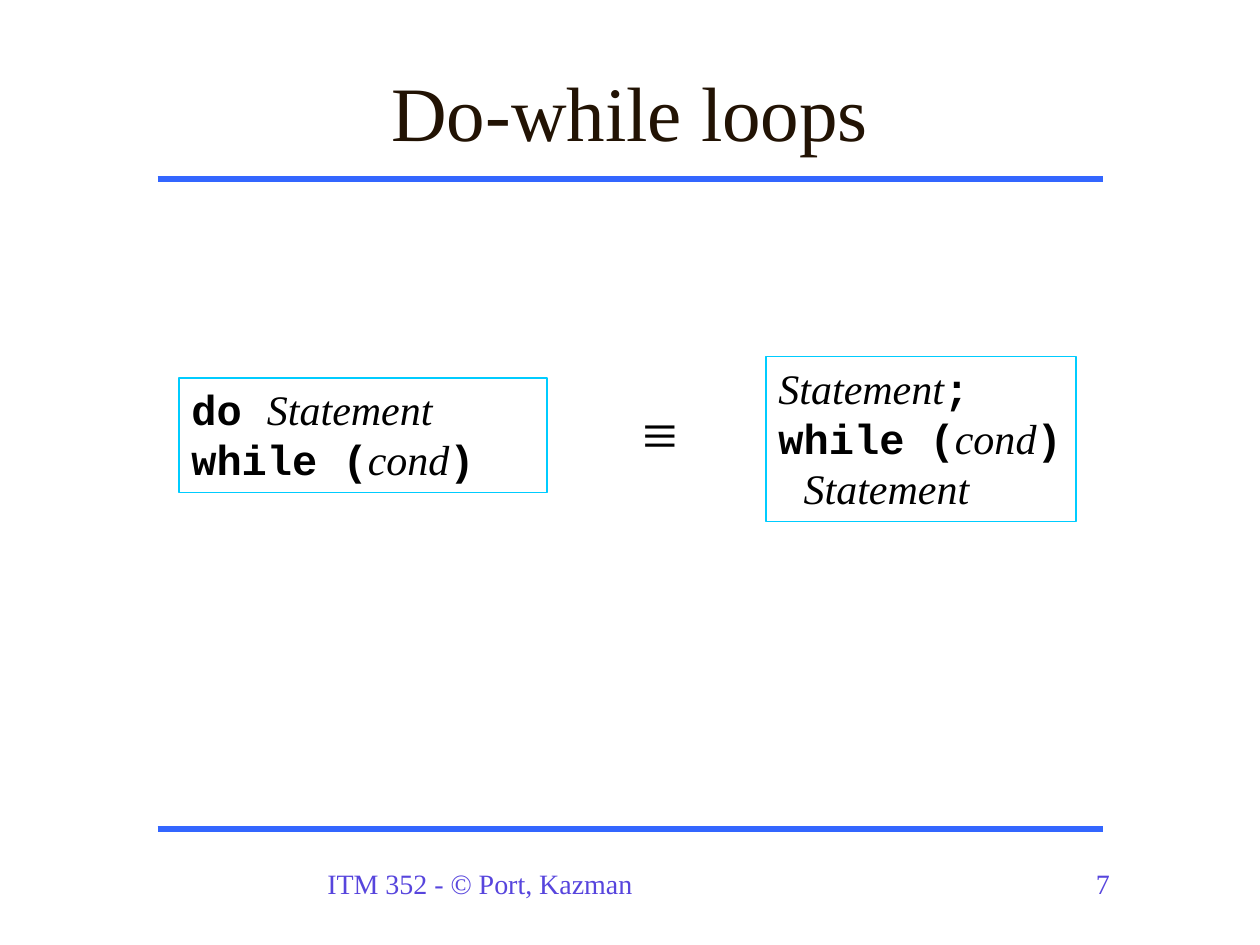
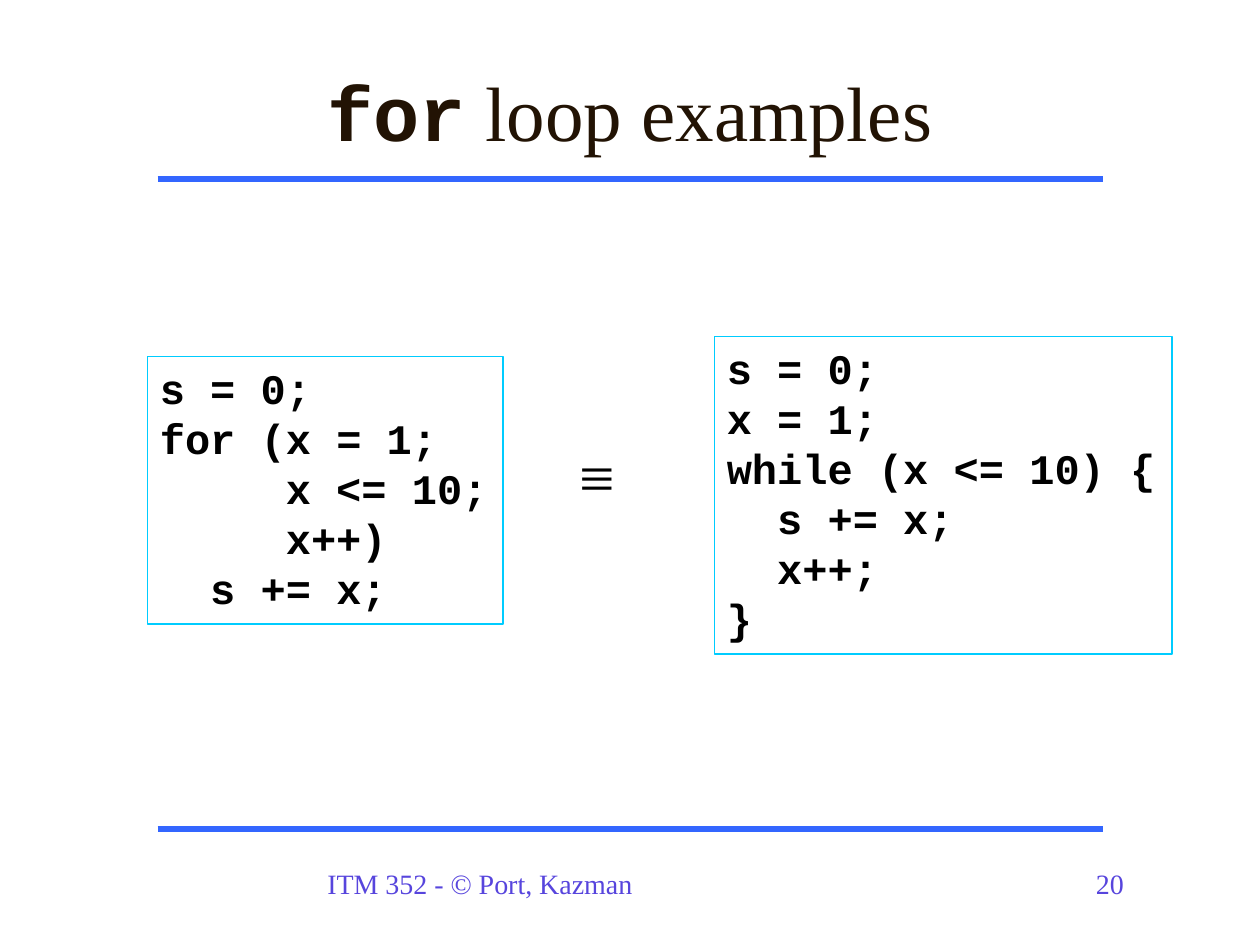
from dataclasses import dataclass
from pptx import Presentation
from pptx.dml.color import RGBColor
from pptx.enum.shapes import MSO_CONNECTOR, MSO_SHAPE
from pptx.enum.text import MSO_ANCHOR, PP_ALIGN
from pptx.oxml.ns import qn
from pptx.util import Inches, Pt
from lxml.etree import SubElement

SERIF, MONO = "Times New Roman", "Courier New"
INK, TITLE, FOOTER, RULE, FRAME = "000000", "221304", "5745DD", "3366FF", "00CCFF"
CODE_SIZE = 24
CHAR = 0.2  # width in inches of one code character
RULE_TOPS = (1.42, 6.58)


@dataclass(frozen=True)
class Span:
    text: str
    font: str = SERIF
    bold: bool = False
    italic: bool = False


@dataclass(frozen=True)
class Line:
    spans: tuple[Span, ...]
    indent: int = 0  # in code characters


@dataclass(frozen=True)
class CodeBox:
    at: tuple[float, float, float, float]
    lines: tuple[Line, ...]


@dataclass(frozen=True)
class Page:
    title: Line
    number: str
    boxes: tuple[CodeBox, CodeBox]
    equiv_at: tuple[float, float]


def plain(text: str) -> Line:
    return Line((Span(text),))


def kw(text: str) -> Span:
    return Span(text, MONO, bold=True)


def var(text: str) -> Span:
    return Span(text, italic=True)


def code(text: str, indent: int = 0) -> Line:
    return Line((kw(text),), indent)


def rgb(value: str) -> RGBColor:
    return RGBColor.from_string(value)


def write(sp, lines, *, size, color=INK, align=PP_ALIGN.LEFT,
          anchor=MSO_ANCHOR.TOP, wrap=True, spacing=None, right=0.1) -> None:
    tf = sp.text_frame
    tf.word_wrap = wrap
    tf.vertical_anchor = anchor
    tf.margin_right = Inches(right)
    for i, line in enumerate(lines):
        p = tf.paragraphs[0] if i == 0 else tf.add_paragraph()
        p.alignment = align
        if spacing:
            p.line_spacing = Pt(spacing)
        if line.indent:
            p._p.get_or_add_pPr().set("marL", str(Inches(CHAR * line.indent)))
        for span in line.spans:
            r = p.add_run()
            r.text = span.text
            r.font.name, r.font.size = span.font, Pt(size)
            r.font.bold, r.font.italic = span.bold, span.italic
            r.font.color.rgb = rgb(color)


def add_text(s, at, line: Line, **fmt) -> None:
    write(s.shapes.add_textbox(*map(Inches, at)), [line], **fmt)


def add_rule(s, top: float) -> None:
    cx = s.shapes.add_connector(MSO_CONNECTOR.STRAIGHT, Inches(1.25), Inches(top),
                                Inches(8.75), Inches(top))
    cx.line.color.rgb = rgb(RULE)
    cx.line.width = Pt(3)
    SubElement(cx._element.spPr, qn("a:effectLst"))


def add_code_box(s, box: CodeBox) -> None:
    sp = s.shapes.add_shape(MSO_SHAPE.RECTANGLE, *map(Inches, box.at))
    sp.shadow.inherit = False
    sp.fill.background()
    sp.line.color.rgb = rgb(FRAME)
    sp.line.width = Pt(1)
    write(sp, box.lines, size=CODE_SIZE, spacing=28.6, right=0.02)


def add_page(prs, page: Page) -> None:
    s = prs.slides.add_slide(prs.slide_layouts[6])
    for top in RULE_TOPS:
        add_rule(s, top)
    add_text(s, (2.5, 6.83, 4.17, 0.37), plain("ITM 352 - © Port, Kazman"),
             size=16, color=FOOTER)
    add_text(s, (8.6, 6.83, 0.74, 0.37), plain(page.number), size=16, color=FOOTER)
    add_text(s, (0.75, 0.25, 8.5, 1.25), page.title, size=44, color=TITLE,
             align=PP_ALIGN.CENTER, anchor=MSO_ANCHOR.MIDDLE)
    for box in page.boxes:
        add_code_box(s, box)
    add_text(s, (*page.equiv_at, 0.48, 0.7), plain("≡"), size=36, wrap=False)


WHILE_COND = Line((kw("while ("), var("cond"), kw(")")))

PAGES = (
    Page(
        plain("Do-while loops"), "7",
        (CodeBox((1.42, 3, 2.92, 0.91), (
            Line((kw("do "), var("Statement"))),
            WHILE_COND)),
         CodeBox((6.08, 2.83, 2.46, 1.31), (
             Line((var("Statement"), kw(";"))),
             WHILE_COND,
             Line((kw(" "), var("Statement")))))),
        (5, 3.08)),
    Page(
        Line((kw("for"), Span(" loop examples"))), "20",
        (CodeBox((1.17, 2.83, 2.82, 2.12), (
            code("s = 0;"),
            code("for (x = 1;"),
            code("x <= 10;", 5),
            code("x++)", 5),
            code("s += x;", 2))),
         CodeBox((5.67, 2.67, 3.63, 2.52), (
             code("s = 0;"),
             code("x = 1;"),
             code("while (x <= 10) {"),
             code("s += x;", 2),
             code("x++;", 2),
             code("}")))),
        (4.5, 3.42)),
)


def main() -> None:
    prs = Presentation()
    prs.slide_width, prs.slide_height = Inches(10), Inches(7.5)
    for page in PAGES:
        add_page(prs, page)
    prs.save("out.pptx")


if __name__ == "__main__":
    main()
